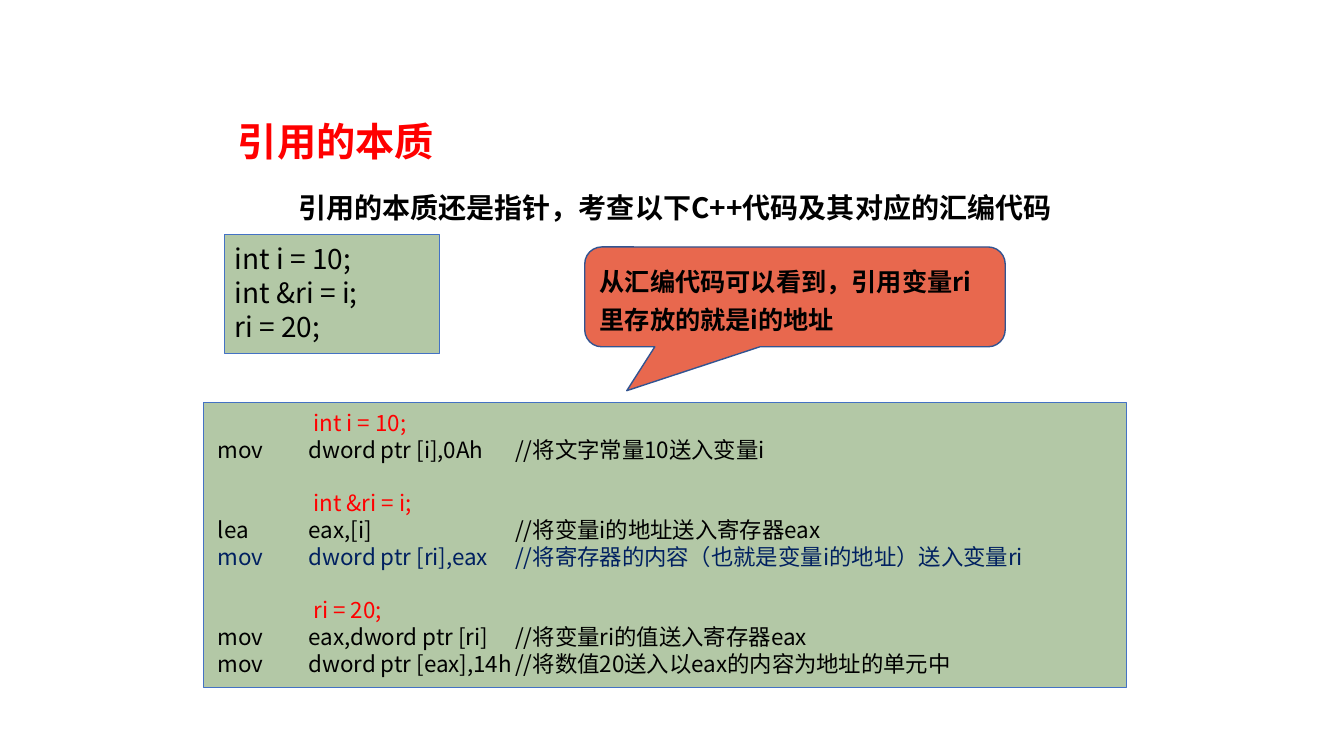
from dataclasses import dataclass

from lxml.etree import SubElement
from pptx import Presentation
from pptx.dml.color import RGBColor
from pptx.enum.shapes import MSO_SHAPE
from pptx.enum.text import MSO_ANCHOR, PP_ALIGN
from pptx.oxml.ns import qn
from pptx.util import Inches, Pt


@dataclass(frozen=True)
class Theme:
    font: str = "Noto Sans CJK JP"
    head: str = "Noto Sans CJK SC"
    black: str = "000000"
    red: str = "FF0000"
    navy: str = "002060"
    green: str = "548235"
    blue: str = "4472C4"
    coral: str = "E8684E"
    edge: str = "325491"
    title: int = 28
    lead: int = 20
    code: int = 20
    note: int = 18
    asm: int = 16


THEME = Theme()

CODE = ["int i = 10;", "int &ri = i;", "ri = 20;"]

# Each C++ statement with its instructions: op, operands, comment, colour
ASM = [
    (CODE[0], [
        ("mov", "dword ptr [i],0Ah", "//将文字常量10送入变量i", THEME.black),
    ]),
    (CODE[1], [
        ("lea", "eax,[i]", "//将变量i的地址送入寄存器eax", THEME.black),
        ("mov", "dword ptr [ri],eax",
         "//将寄存器的内容（也就是变量i的地址）送入变量ri", THEME.navy),
    ]),
    (CODE[2], [
        ("mov", "eax,dword ptr [ri]", "//将变量ri的值送入寄存器eax", THEME.black),
        ("mov", "dword ptr [eax],14h",
         "//将数值20送入以eax的内容为地址的单元中", THEME.black),
    ]),
]


def place(shape, left, top, width, height):
    shape.left, shape.top = Inches(left), Inches(top)
    shape.width, shape.height = Inches(width), Inches(height)


def add_run(para, text, size, color=THEME.black, bold=False, name=THEME.font):
    run = para.add_run()
    run.text = text
    font = run.font
    font.name, font.size, font.bold = name, Pt(size), bold
    font.color.rgb = RGBColor.from_string(color)
    SubElement(run._r.get_or_add_rPr(), qn("a:ea"), typeface=name)


def add_para(frame, pitch):
    """Return the next paragraph, left aligned with a fixed line pitch."""
    para = frame.paragraphs[0]
    if para.runs:
        para = frame.add_paragraph()
    para.alignment = PP_ALIGN.LEFT
    para.line_spacing = Pt(pitch)
    return para


def add_tabs(para, stops):
    tabs = SubElement(para._p.get_or_add_pPr(), qn("a:tabLst"))
    for stop in stops:
        SubElement(tabs, qn("a:tab"), pos=str(Inches(stop)), algn="l")


def add_box(slide, kind, area, fill, line, width):
    shape = slide.shapes.add_shape(kind, *map(Inches, area))
    shape.shadow.inherit = False
    shape.fill.solid()
    shape.fill.fore_color.rgb = RGBColor.from_string(fill)
    shape.line.color.rgb = RGBColor.from_string(line)
    shape.line.width = Pt(width)
    shape.text_frame.word_wrap = True
    return shape


def add_panel(slide, area, inset):
    """Add a see-through green code panel and return its text frame."""
    shape = add_box(slide, MSO_SHAPE.RECTANGLE, area,
                    THEME.green, THEME.blue, 0.75)
    color = shape.fill._xPr.find(".//" + qn("a:srgbClr"))
    SubElement(color, qn("a:alpha"), val="44000")
    frame = shape.text_frame
    frame.vertical_anchor = MSO_ANCHOR.TOP
    frame.margin_left, frame.margin_top = Inches(inset), Inches(0.07)
    return frame


def add_title(slide, text):
    title = slide.shapes.title
    place(title, 2.26, 0.94, 8.5, 0.92)
    title.text_frame.vertical_anchor = MSO_ANCHOR.MIDDLE
    para = title.text_frame.paragraphs[0]
    para.alignment = PP_ALIGN.LEFT
    add_run(para, text, THEME.title, THEME.red, True, THEME.head)


def add_lead(slide, text):
    box = slide.shapes.add_textbox(*map(Inches, (1.86, 1.72, 9.63, 0.68)))
    frame = box.text_frame
    frame.word_wrap = True
    frame.margin_left = Inches(1.1)
    frame.vertical_anchor = MSO_ANCHOR.MIDDLE
    add_run(frame.paragraphs[0], text, THEME.lead, bold=True)


def add_code(slide):
    frame = add_panel(slide, (2.23, 2.33, 2.13, 1.18), 0.1)
    for text in CODE:
        add_run(add_para(frame, 24), text, THEME.code)


def add_asm(slide):
    pitch = 19.1
    frame = add_panel(slide, (2.02, 3.99, 9.15, 2.83), 0.14)
    for index, (source, steps) in enumerate(ASM):
        para = add_para(frame, pitch)
        para._p.get_or_add_pPr().set("marL", str(Inches(0.95)))
        if index:
            para.space_before = Pt(pitch)
        add_run(para, source, THEME.asm, THEME.red)
        for *parts, color in steps:
            para = add_para(frame, pitch)
            add_tabs(para, (0.9, 2.95))
            add_run(para, "\t".join(parts), THEME.asm, color)


def add_callout(slide, text):
    shape = add_box(slide, MSO_SHAPE.ROUNDED_RECTANGULAR_CALLOUT,
                    (5.8, 2.45, 4.17, 0.99), THEME.coral, THEME.edge, 1)
    for index, value in enumerate((-0.4, 0.94, 0.17)):
        shape.adjustments[index] = value
    frame = shape.text_frame
    frame.vertical_anchor = MSO_ANCHOR.MIDDLE
    add_run(add_para(frame, 27), text, THEME.note, bold=True)


def main():
    deck = Presentation()
    deck.slide_width, deck.slide_height = Inches(13.33), Inches(7.5)
    slide = deck.slides.add_slide(deck.slide_layouts[5])
    add_title(slide, "引用的本质")
    add_lead(slide, "引用的本质还是指针，考查以下C++代码及其对应的汇编代码")
    add_code(slide)
    add_asm(slide)
    add_callout(slide, "从汇编代码可以看到，引用变量ri里存放的就是i的地址")
    deck.save("out.pptx")


if __name__ == "__main__":
    main()
